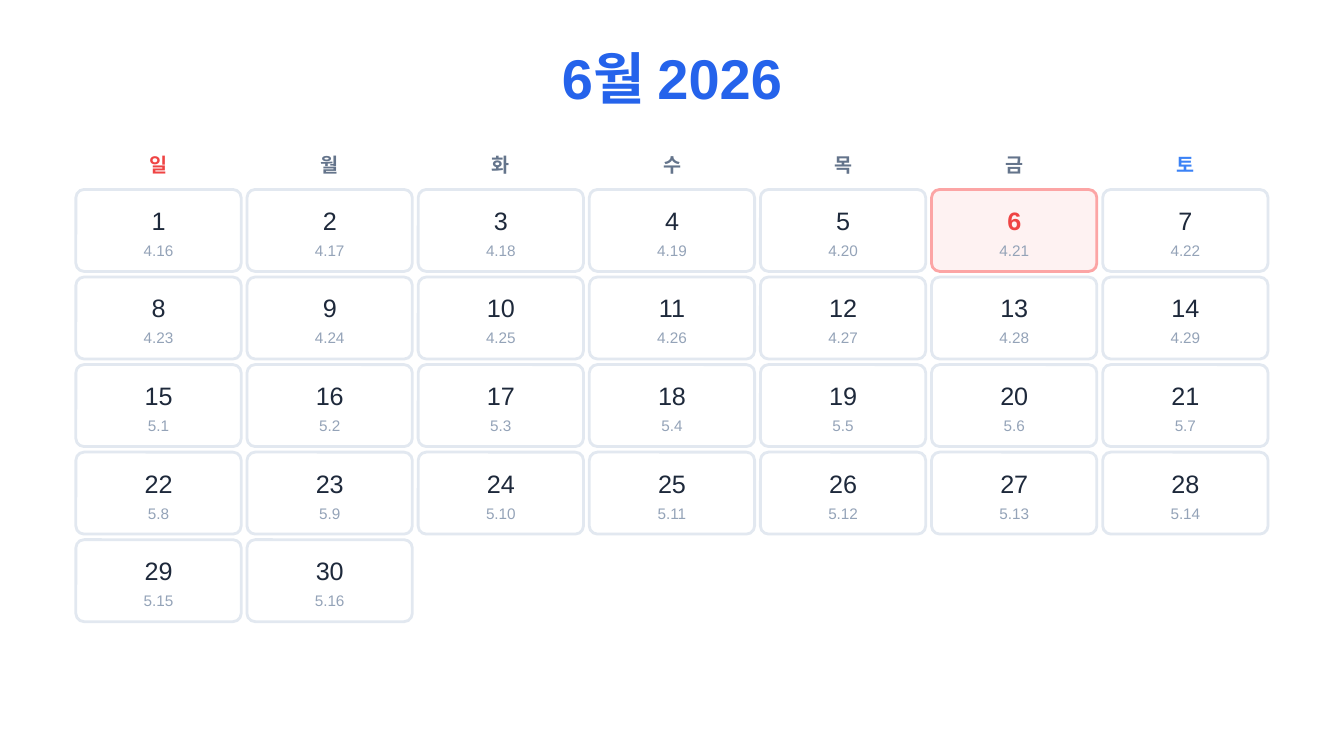
import pptx
import pptx.util
import pptx.dml.color
import pptx.enum.shapes
import pptx.enum.text

Inches = pptx.util.Inches
Pt = pptx.util.Pt

COLORS = {
    "title": "2563EB",
    "sunday": "EF4444",
    "weekday": "64748B",
    "saturday": "3B82F6",
    "day": "1E293B",
    "lunar": "94A3B8",
    "card": "FFFFFF",
    "border": "E2E8F0",
    "holiday": "EF4444",
    "holiday_card": "FEF2F2",
    "holiday_border": "FCA5A5",
}


def rgb(name):
    return pptx.dml.color.RGBColor.from_string(COLORS[name])


def write_text(shape, text, size, line_height, color, bold=False, inset=0, wrap=False):
    frame = shape.text_frame
    frame.word_wrap = wrap
    frame.auto_size = pptx.enum.text.MSO_AUTO_SIZE.NONE
    frame.vertical_anchor = pptx.enum.text.MSO_ANCHOR.TOP
    frame.margin_left = frame.margin_right = Inches(inset)
    frame.margin_top = frame.margin_bottom = Inches(inset)
    paragraph = frame.paragraphs[0]
    paragraph.alignment = pptx.enum.text.PP_ALIGN.CENTER
    paragraph.line_spacing = Pt(line_height)
    run = paragraph.add_run()
    run.text = text
    run.font.name = "Arial"
    run.font.size = Pt(size)
    run.font.bold = bold
    run.font.color.rgb = rgb(color)


presentation = pptx.Presentation()
presentation.slide_width = Inches(10)
presentation.slide_height = Inches(10) * 9 // 16
slide = presentation.slides.add_slide(presentation.slide_layouts[5])

title = slide.shapes.title
title.left, title.top = Inches(2.71), Inches(0.36)
title.width, title.height = Inches(4.58), Inches(0.46)
write_text(title, "6월 2026", 30, 33.3, "title", bold=True, wrap=True)

first_center, grid_top = 1.18, 1.41
column_pitch = 7.64 / 6
row_pitch = 4.56 / 7
card_width, card_height = 1.23, 0.61
header_width = 1.26

for column, weekday in enumerate("일월화수목금토"):
    color = {0: "sunday", 6: "saturday"}.get(column, "weekday")
    center = first_center + column * column_pitch
    header = slide.shapes.add_textbox(
        Inches(center - header_width / 2), Inches(1.06), Inches(header_width), Inches(0.31)
    )
    write_text(header, weekday, 10.5, 14.7, color, bold=True, inset=0.05, wrap=True)

for day in range(1, 31):
    row, column = divmod(day - 1, 7)
    center = first_center + column * column_pitch
    top = grid_top + row * row_pitch
    holiday = day == 6

    card = slide.shapes.add_shape(
        pptx.enum.shapes.MSO_SHAPE.ROUNDED_RECTANGLE,
        Inches(center - card_width / 2), Inches(top), Inches(card_width), Inches(card_height),
    )
    card.adjustments[0] = 0.1
    card.shadow.inherit = False
    card.fill.solid()
    card.fill.fore_color.rgb = rgb("holiday_card" if holiday else "card")
    card.line.color.rgb = rgb("holiday_border" if holiday else "border")
    card.line.width = Pt(1.5)

    day_width = 0.11 if day < 10 else 0.21
    day_box = slide.shapes.add_textbox(
        Inches(center - day_width / 2), Inches(top + 0.08), Inches(day_width), Inches(0.26)
    )
    write_text(day_box, str(day), 13.5, 18.9, "holiday" if holiday else "day", bold=holiday)

    lunar_text = f"4.{day + 15}" if day < 15 else f"5.{day - 14}"
    lunar_width = 0.23 if len(lunar_text) == 4 else 0.16
    lunar_box = slide.shapes.add_textbox(
        Inches(center - lunar_width / 2), Inches(top + 0.36), Inches(lunar_width), Inches(0.16)
    )
    write_text(lunar_box, lunar_text, 8.2, 11.6, "lunar")

presentation.save("out.pptx")
